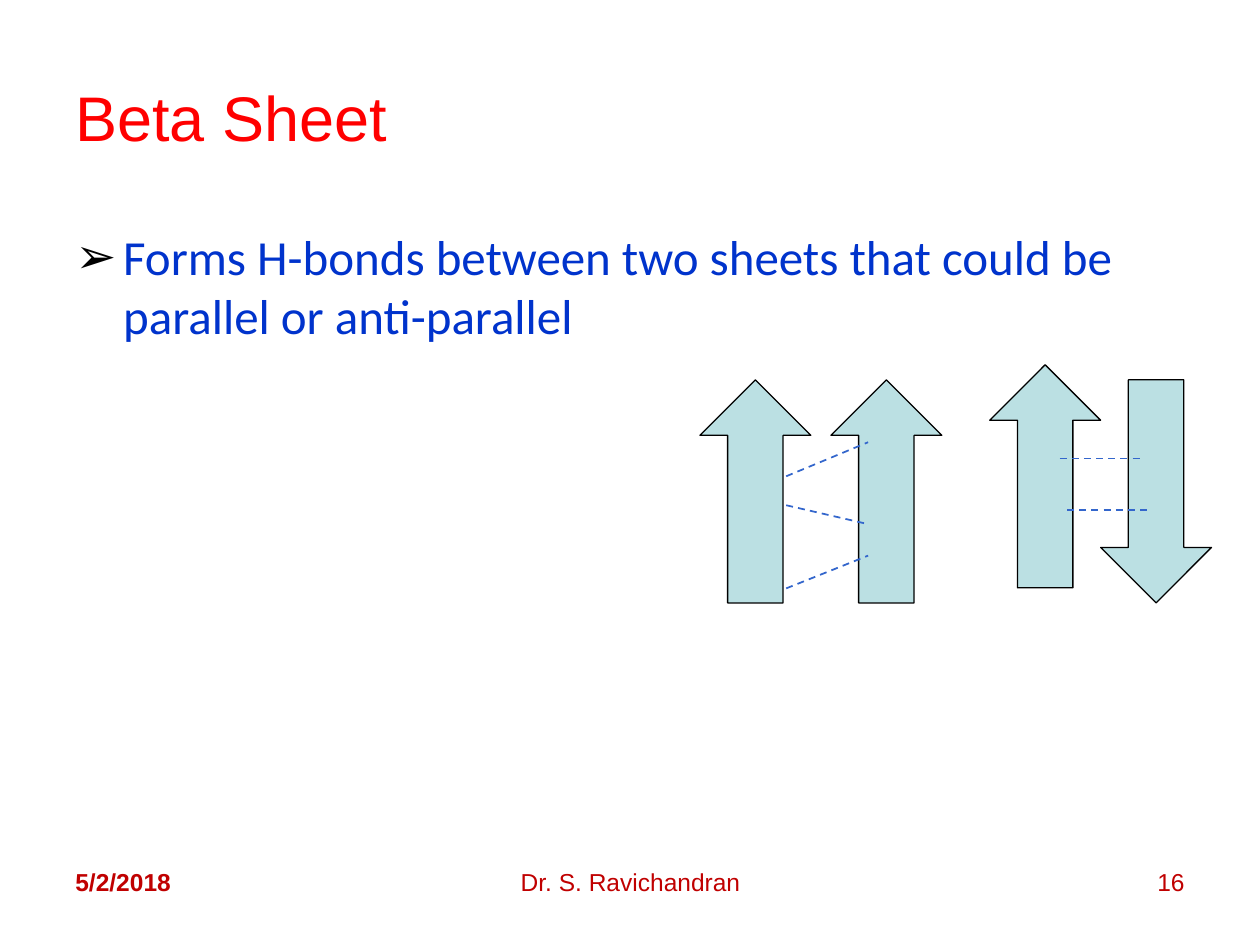
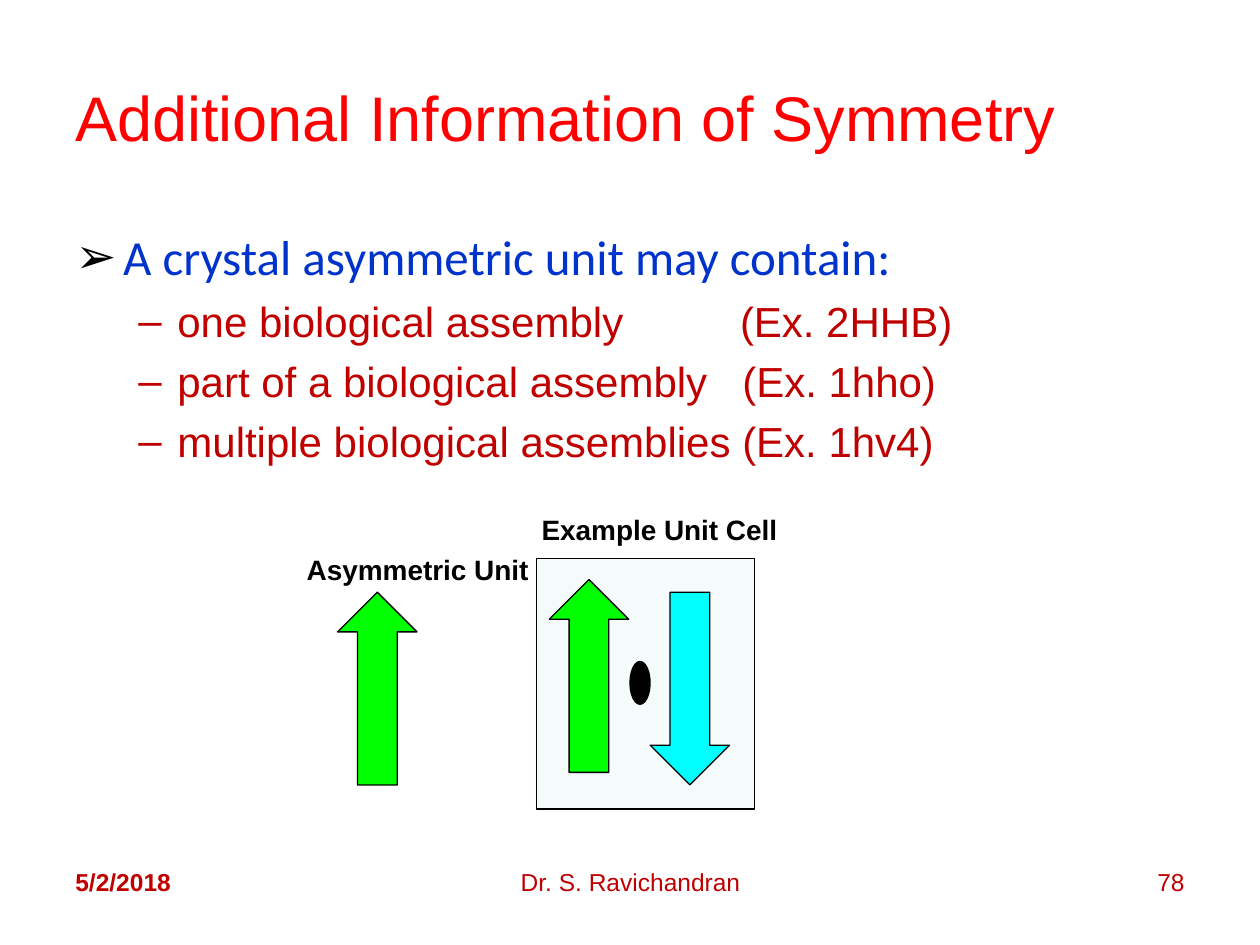
from pptx import Presentation
from pptx.dml.color import RGBColor
from pptx.enum.dml import MSO_LINE as Dash
from pptx.enum.shapes import MSO_CONNECTOR as Link, MSO_SHAPE as Form
from pptx.enum.text import MSO_ANCHOR as Anchor, MSO_AUTO_SIZE as Fit, PP_ALIGN as Align
from pptx.oxml.ns import qn
from pptx.util import Inches, Pt
from lxml.etree import SubElement as Sub

RED, BLUE, WINE, BLACK = "FF0000", "0033CC", "C00000", "000000"
TEAL, LIME, CYAN, BOND = "BBE0E3", "00FF00", "00FFFF", "3366CC"
WIDE, HIGH = 10, 7.5
COLS, ROWS = 20, 15
SPACE = 6.67  # width of one 24 pt space, in points


def tint(code):
    return RGBColor.from_string(code)


class Deck:
    """Holds the style and the current slide; lengths are grid cells."""

    def __init__(self):
        self.show = Presentation()
        self.show.slide_width, self.show.slide_height = Inches(WIDE), Inches(HIGH)

    def x(self, cols):
        return Inches(cols * WIDE / COLS)

    def y(self, rows):
        return Inches(rows * HIGH / ROWS)

    def area(self, left, top, width, height):
        return self.x(left), self.y(top), self.x(width), self.y(height)

    # Slide with title and footer
    def start(self, title, number):
        self.page = self.show.slides.add_slide(self.show.slide_layouts[6])
        self.home = self.page.shapes
        head = self.frame(1, 0.6, 18, 2.5)
        head.vertical_anchor = Anchor.MIDDLE
        self.run(head.paragraphs[0], title, 36, RED)
        foot = [(1, 4.66, "5/2/2018", Align.LEFT, True),
                (6.84, 6.34, "Dr. S. Ravichandran", Align.CENTER, False),
                (14.34, 4.66, number, Align.RIGHT, False)]
        for left, width, text, align, bold in foot:
            self.note(left, 13.66, width, 1.04, text, 14, WINE, bold, align)

    # Text
    def frame(self, *cells):
        frame = self.page.shapes.add_textbox(*self.area(*cells)).text_frame
        frame.word_wrap = True
        return frame

    def run(self, para, text, size, color, face="Arial", bold=False, gap=0):
        run = para.add_run()
        run.text = text
        font = run.font
        font.name, font.size, font.bold = face, Pt(size), bold
        font.color.rgb = tint(color)
        if gap:
            run._r.get_or_add_rPr().set("spc", str(round(gap * 100)))

    def note(self, left, top, width, height, text, size, color, bold, align):
        frame = self.frame(left, top, width, height)
        frame.paragraphs[0].alignment = align
        self.run(frame.paragraphs[0], text, size, color, bold=bold)
        return frame

    def label(self, left, top, text, align):
        frame = self.note(left, top, 4.26, 0.74, text, 16, BLACK, True, align)
        frame.auto_size = Fit.SHAPE_TO_FIT_TEXT

    def bullet(self, para, mark, left, hang, color):
        props = para._p.get_or_add_pPr()
        props.set("marL", str(Inches(left)))
        props.set("indent", str(-Inches(hang)))
        Sub(Sub(props, qn("a:buClr")), qn("a:srgbClr")).set("val", color)
        Sub(props, qn("a:buFont")).set("typeface", "Arial")
        Sub(props, qn("a:buChar")).set("char", mark)

    def body(self, lead, items=()):
        frame = self.frame(1, 3.5, 18, 9.9)
        para = frame.paragraphs[0]
        self.bullet(para, "➢", 0.38, 0.38, BLACK)
        self.run(para, lead, 28, BLUE, "Calibri")
        for text, case, gap in items:
            para = frame.add_paragraph()
            para.level = 1
            self.bullet(para, "–", 0.81, 0.31, WINE)
            para.space_before = Pt(5.6)
            self.run(para, text, 24, WINE)
            self.run(para, " ", 24, WINE, gap=gap)
            self.run(para, case, 24, WINE)

    # Shapes
    def group(self):
        self.home = self.page.shapes.add_group_shape().shapes

    def shape(self, form, cells, fill, alpha=None):
        shape = self.home.add_shape(form, *self.area(*cells))
        shape.shadow.inherit = False
        shape.fill.solid()
        shape.fill.fore_color.rgb = tint(fill)
        shape.line.color.rgb = tint(BLACK)
        shape.line.width = Pt(0.75)
        if alpha:
            code = shape._element.spPr.find(".//" + qn("a:srgbClr"))
            Sub(code, qn("a:alpha")).set("val", str(alpha * 1000))
        return shape

    def arrow(self, midx, midy, size, fill, turn=270):
        long, thick = size
        cells = midx - long / 2, midy - thick / 2, long, thick
        self.shape(Form.RIGHT_ARROW, cells, fill).rotation = turn

    def bond(self, left, start, end):
        line = self.home.add_connector(Link.STRAIGHT, self.x(left), self.y(start),
                                       self.x(left + 1.3), self.y(end))
        line.line.color.rgb = tint(BOND)
        line.line.width = Pt(1)
        line.line.dash_style = Dash.DASH
        Sub(line._element.spPr, qn("a:effectLst"))


def sheet(deck):
    deck.start("Beta Sheet", "16")
    deck.body("Forms H-bonds between two sheets that could be parallel or anti-parallel")
    # Parallel pair, then anti-parallel pair
    strand = 3.54, 1.76
    for midx, midy, turn in [(11.99, 7.8, 270), (14.07, 7.8, 270),
                             (16.59, 7.56, 270), (18.35, 7.8, 90)]:
        deck.arrow(midx, midy, strand, TEAL, turn)
    # Hydrogen bonds
    for bond in [(12.48, 7.56, 7.02), (12.48, 8.02, 8.32), (12.48, 9.34, 8.82),
                 (16.82, 7.28, 7.28), (16.94, 8.1, 8.1)]:
        deck.bond(*bond)


def unit(deck):
    deck.start("Additional Information of Symmetry", "78")
    deck.body("A crystal asymmetric unit may contain:",
              [("one biological assembly", "(Ex. 2HHB)", 9 * SPACE),
               ("part of a biological assembly", "(Ex. 1hho)", 2 * SPACE),
               ("multiple biological assemblies", "(Ex. 1hv4)", 0)])
    # Asymmetric unit
    size = 3.06, 1.26
    deck.arrow(5.99, 10.93, size, LIME)
    # Unit cell with its two-fold axis
    deck.group()
    deck.shape(Form.RECTANGLE, (8.52, 8.86, 3.46, 3.98), TEAL, alpha=14)
    deck.arrow(9.35, 10.73, size, LIME)
    deck.arrow(10.95, 10.93, size, CYAN, 90)
    deck.shape(Form.OVAL, (10, 10.5, 0.32, 0.68), BLACK)
    # Labels
    deck.label(4.5, 8.68, "Asymmetric Unit", Align.CENTER)
    deck.label(8.4, 8.04, "Example Unit Cell", Align.LEFT)


def main():
    deck = Deck()
    sheet(deck)
    unit(deck)
    deck.show.save("out.pptx")


if __name__ == "__main__":
    main()
